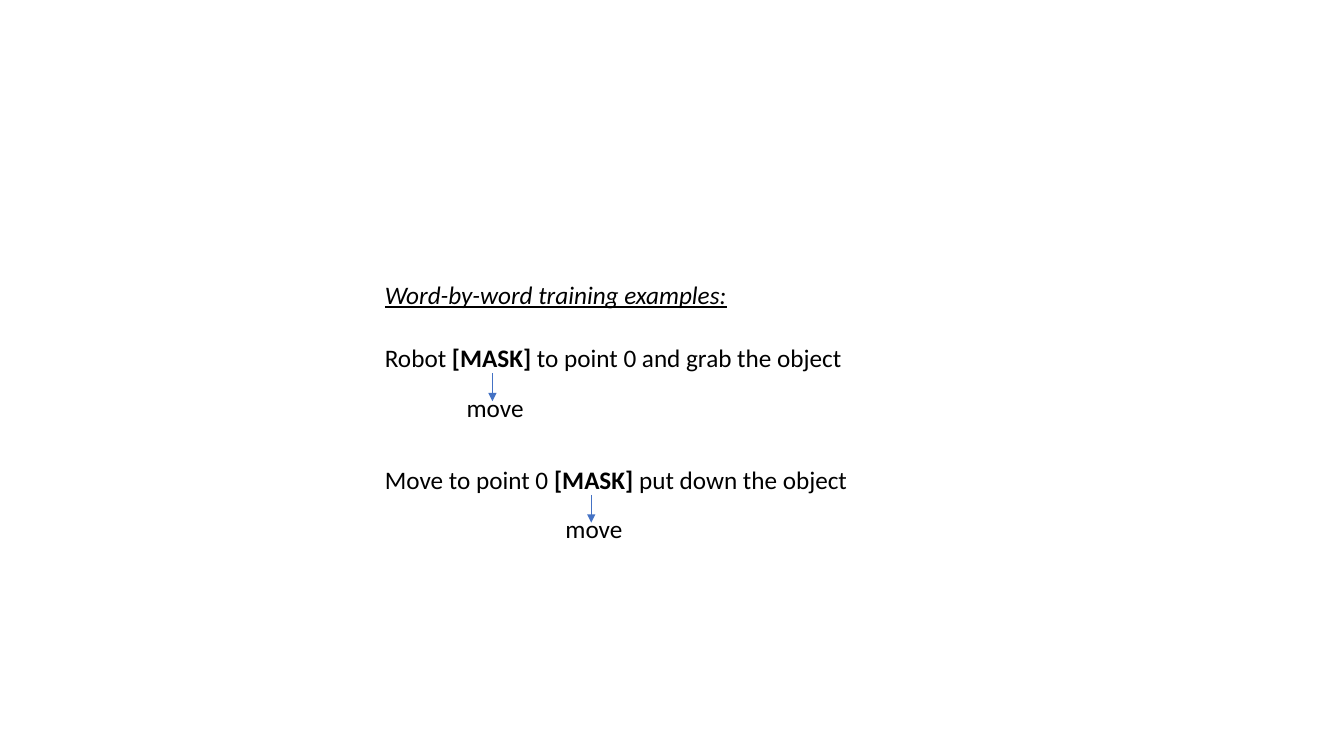
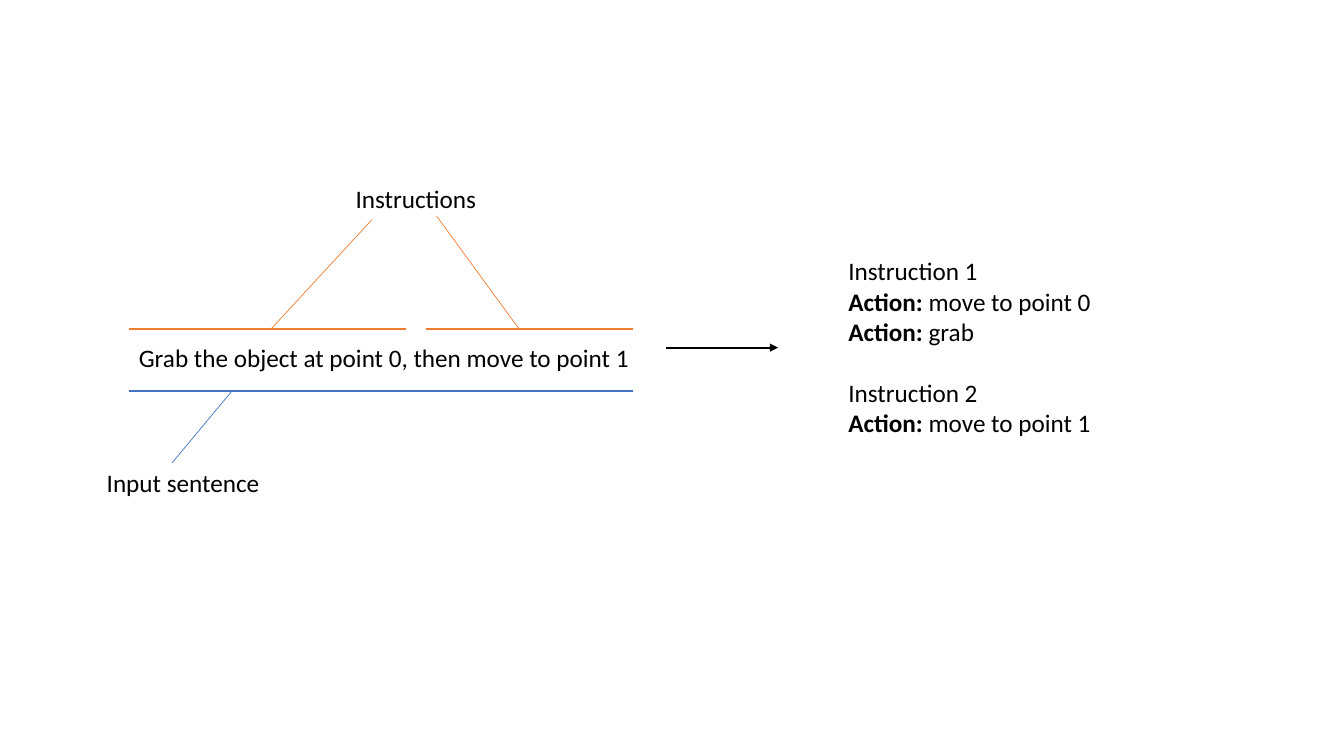
from lxml.etree import SubElement
from pptx import Presentation
from pptx.dml.color import RGBColor
from pptx.enum.shapes import MSO_CONNECTOR
from pptx.oxml.ns import qn
from pptx.util import Cm, Pt

FONT = "Calibri"
BLACK = RGBColor(0x00, 0x00, 0x00)
BLUE = RGBColor(0x44, 0x72, 0xC4)
ORANGE = RGBColor(0xED, 0x7D, 0x31)
SIZE = Pt(18)
THIN, THICK = 0.5, 1.5
LINE_H = 1.02


def add_text(s, x, y, w, *paragraphs, h=LINE_H):
    """Add a text box; each paragraph is a list of (text, bold) runs."""
    tf = s.shapes.add_textbox(Cm(x), Cm(y), Cm(w), Cm(h)).text_frame
    tf.word_wrap = True
    for i, runs in enumerate(paragraphs):
        p = tf.paragraphs[0] if i == 0 else tf.add_paragraph()
        p.font.name, p.font.size, p.font.color.rgb = FONT, SIZE, BLACK
        for text, bold in runs:
            r = p.add_run()
            r.text = text
            if bold:
                r.font.bold = True
    return tf


def add_line(s, x1, y1, x2, y2, color, width, arrow=False):
    """Draw a straight line, with an arrowhead at its end if asked."""
    line = s.shapes.add_connector(
        MSO_CONNECTOR.STRAIGHT, Cm(x1), Cm(y1), Cm(x2), Cm(y2))
    line.line.color.rgb = color
    line.line.width = Pt(width)
    if arrow:
        SubElement(line.line._get_or_add_ln(), qn("a:tailEnd"), type="triangle")
    SubElement(line._element.spPr, qn("a:effectLst"))


def masked_example(s, x, y, w, before, after, answer_dx):
    """Place a masked sentence with an arrow down to the missing word."""
    add_text(s, x, y, w, [(before, False), ("[MASK]", True), (after, False)])
    answer_x = x + answer_dx
    add_text(s, answer_x, y + 1.25, 2.74, [("move", False)])
    add_line(s, answer_x + 0.9, y + 0.9, answer_x + 0.9, y + 1.6,
             BLUE, THIN, arrow=True)


def training_slide(s, x, y, w):
    """Place the heading and the two masked examples."""
    p = add_text(s, x, y, w, [("Word-by-word training examples:", False)]).paragraphs[0]
    p.font.italic = p.font.underline = True
    masked_example(s, x, y + 1.6, w, "Robot ", " to point 0 and grab the object", 2.06)
    masked_example(s, x, y + 4.66, w, "Move to point 0 ", " put down the object", 4.55)


def annotated_sentence(s, x, y, w):
    """Place the input sentence with its marks and labels."""
    add_text(s, x, y, 19.86,
             [("Grab the object at point 0, then move to point 1", False)])
    under, over, label_y = y + 1.35, y - 0.22, y + 3.15
    add_line(s, x, under, x + w, under, BLUE, THICK)
    add_line(s, x + 2.59, under, x + 1.09, label_y, BLUE, THIN)
    add_text(s, x - 0.81, label_y, 10.16, [("Input sentence", False)])
    add_text(s, x + 5.46, y - 4.01, 4.47, [("Instructions", False)])
    for start, end, foot, top_x, top_y in (
            (0, 6.99, 3.58, 6.12, -2.97), (7.49, w, 9.83, 7.75, -3.07)):
        add_line(s, x + start, over, x + end, over, ORANGE, THICK)
        add_line(s, x + foot, over, x + top_x, y + top_y, ORANGE, THIN)


def instruction_list(s, x, y, w, h):
    """Place the instructions with their actions."""
    groups = (("Instruction 1", ("move to point 0", "grab")),
              ("Instruction 2", ("move to point 1",)))
    paragraphs, heads = [], []
    for title, actions in groups:
        heads.append(len(paragraphs))
        paragraphs.append([(title, False)])
        paragraphs += [[("Action: ", True), (action, False)] for action in actions]
    tf = add_text(s, x, y, w, *paragraphs, h=h)
    for i in heads[1:]:
        tf.paragraphs[i].space_before = Pt(22)


def parsing_slide(s):
    """Place the sentence, the arrow and the resulting instructions."""
    annotated_sentence(s, 3.25, 8.51, 12.7)
    add_line(s, 16.79, 8.76, 19.61, 8.76, BLACK, THICK, arrow=True)
    instruction_list(s, 21.13, 6.32, 9.91, 4.88)


def main():
    """Build and save both slides."""
    prs = Presentation()
    prs.slide_width, prs.slide_height = Cm(33.87), Cm(19.05)
    blank = prs.slide_layouts[6]
    training_slide(prs.slides.add_slide(blank), 9.45, 6.91, 12.3)
    parsing_slide(prs.slides.add_slide(blank))
    prs.save("out.pptx")


if __name__ == "__main__":
    main()
